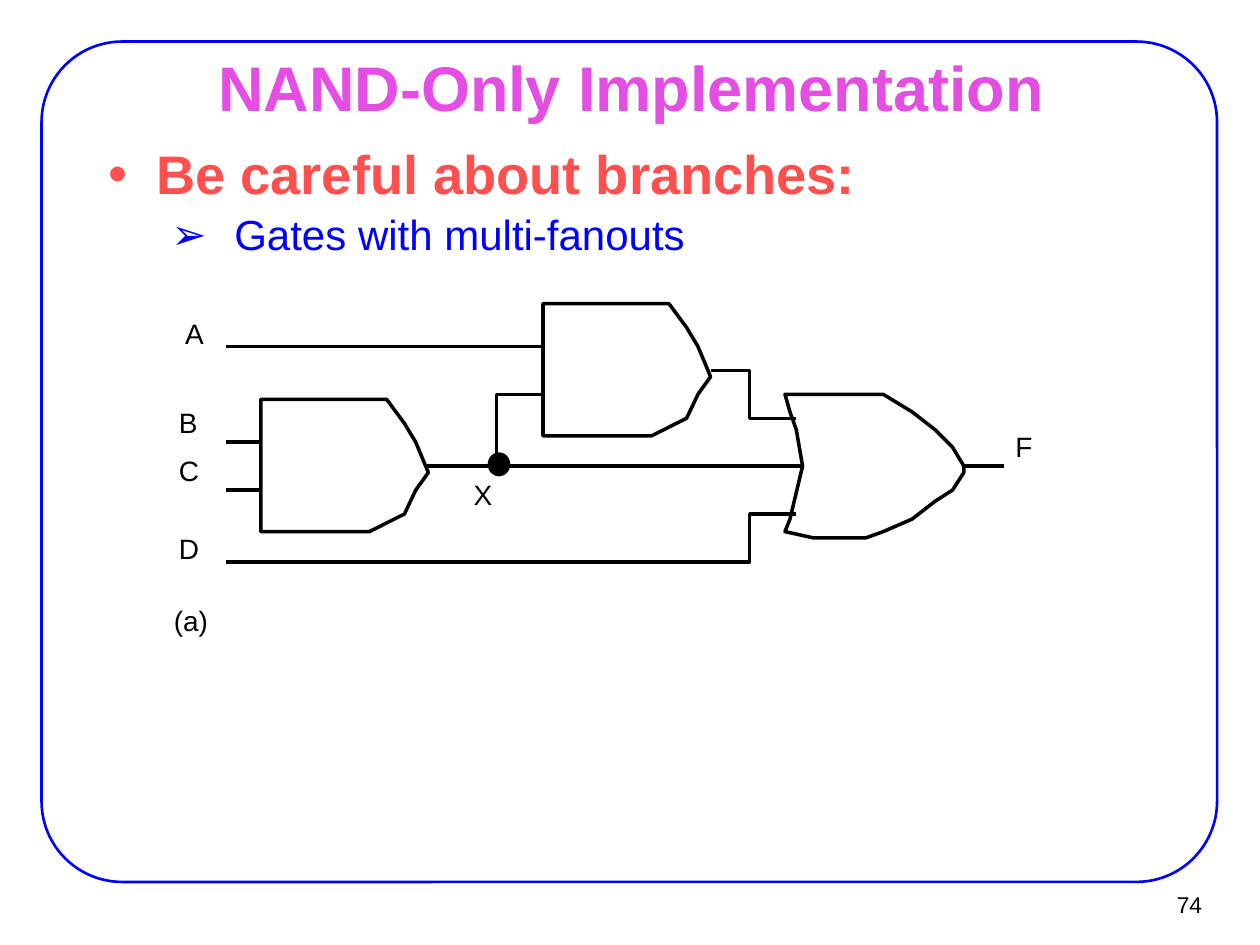
import dataclasses

import pptx
import pptx.dml.color
import pptx.enum.shapes
import pptx.enum.text
import pptx.oxml.ns
import pptx.util
from lxml import etree

Inches = pptx.util.Inches
Align = pptx.enum.text.PP_ALIGN
Anchor = pptx.enum.text.MSO_ANCHOR
Shape = pptx.enum.shapes.MSO_SHAPE


def rgb(code):
    return pptx.dml.color.RGBColor.from_string(code)


@dataclasses.dataclass(frozen=True)
class Theme:
    face: str = "Arial"
    ink: str = "000000"
    paper: str = "FFFFFF"
    frame: str = "0000FF"
    title: str = "E44EE4"
    point: str = "FF5050"
    title_size: int = 36
    point_size: int = 31
    sub_size: int = 24
    label_size: int = 16
    page_size: int = 13
    wire: float = 2
    border: float = 1.5


def add_tag(parent, name, **values):
    return etree.SubElement(parent, pptx.oxml.ns.qn(name), values)


class Sheet:
    """Holds the theme and the slide being drawn."""

    def __init__(self, slide, theme):
        self.slide, self.theme = slide, theme
        self.shapes = slide.shapes

    def style(self, shape, fill=None, line=None, width=None):
        shape.shadow.inherit = False
        if fill:
            shape.fill.solid()
            shape.fill.fore_color.rgb = rgb(fill)
        else:
            shape.fill.background()
        if line:
            shape.line.color.rgb = rgb(line)
            shape.line.width = pptx.util.Pt(width)
        else:
            shape.line.fill.background()

    def setup(self, frame, inset, **extra):
        side, top = inset
        values = {
            "margin_left": Inches(side), "margin_right": Inches(side),
            "margin_top": Inches(top), "margin_bottom": Inches(top),
            "auto_size": pptx.enum.text.MSO_AUTO_SIZE.NONE,
            "word_wrap": True, **extra,
        }
        for name, value in values.items():
            setattr(frame, name, value)

    def put_text(self, para, text, size, color, bold=False):
        para.text = text
        font = para.runs[0].font
        values = {"name": self.theme.face, "size": pptx.util.Pt(size), "bold": bold}
        for name, value in values.items():
            setattr(font, name, value)
        font.color.rgb = rgb(color)

    def box(self, at, inset, **extra):
        frame = self.shapes.add_textbox(*map(Inches, at)).text_frame
        self.setup(frame, inset, **extra)
        return frame

    def title(self, text, at):
        shape = self.shapes.title
        for name, value in zip(("left", "top", "width", "height"), at):
            setattr(shape, name, Inches(value))
        frame = shape.text_frame
        self.setup(frame, (0.11, 0.06), vertical_anchor=Anchor.MIDDLE)
        para = frame.paragraphs[0]
        para.alignment = Align.CENTER
        self.put_text(para, text, self.theme.title_size, self.theme.title, True)

    def bullet(self, para, mark, margin, hang):
        props = para._p.get_or_add_pPr()
        props.set("marL", str(Inches(margin)))
        props.set("indent", str(-Inches(hang)))
        add_tag(props, "a:buFont", typeface=self.theme.face)
        add_tag(props, "a:buChar", char=mark)
        para.line_spacing = 0.9

    def points(self, at, head, sub):
        frame = self.box(at, (0.11, 0.06), margin_top=Inches(0.1))
        para = frame.paragraphs[0]
        self.bullet(para, "•", 0.38, 0.38)
        self.put_text(para, head, self.theme.point_size, self.theme.point, True)
        para = frame.add_paragraph()
        para.level = 1
        self.bullet(para, "➢", 1, 0.5)
        para.space_before = pptx.util.Pt(0.2 * self.theme.sub_size)
        self.put_text(para, sub, self.theme.sub_size, self.theme.frame)

    def label(self, text, left, top, width=0.35):
        frame = self.box((left, top, width, 0.46), (0, 0), word_wrap=False)
        self.put_text(frame.paragraphs[0], text, self.theme.label_size,
                      self.theme.ink)

    def page_mark(self, text, at):
        frame = self.box(at, (0.09, 0.04), word_wrap=False,
                         vertical_anchor=Anchor.MIDDLE)
        para = frame.paragraphs[0]
        para.alignment = Align.RIGHT
        self.put_text(para, text, self.theme.page_size, self.theme.ink)

    def frame(self, at, round_by):
        shape = self.shapes.add_shape(Shape.ROUNDED_RECTANGLE, *map(Inches, at))
        shape.adjustments[0] = round_by
        self.style(shape, line=self.theme.frame, width=self.theme.border)

    def dot(self, at):
        shape = self.shapes.add_shape(Shape.OVAL, *map(Inches, at))
        self.style(shape, fill=self.theme.ink)

    def wire(self, start, end):
        ends = map(Inches, (*start, *end))
        line = self.shapes.add_connector(
            pptx.enum.shapes.MSO_CONNECTOR.STRAIGHT, *ends)
        line.line.color.rgb = rgb(self.theme.ink)
        line.line.width = pptx.util.Pt(self.theme.wire)
        add_tag(line._element.spPr, "a:effectLst")

    def trace(self, spots, left=0, top=0, closed=False):
        """Draw a gate when closed, else a bent wire, offset by left and top."""
        spots = [(Inches(left + x), Inches(top + y)) for x, y in spots]
        pen = self.shapes.build_freeform(*spots[0])
        pen.add_line_segments(spots[1:], close=closed)
        self.style(pen.convert_to_shape(), self.theme.paper if closed else None,
                   self.theme.ink, self.theme.wire)


AND_GATE = [(0, 0), (1, 0), (1.14, 0.19), (1.23, 0.34), (1.33, 0.58),
            (1.23, 0.72), (1.14, 0.91), (0.86, 1.05), (0, 1.05)]
OR_GATE = [(0.14, 0.57), (0.04, 0.99), (0, 1.09), (0.23, 1.14), (0.64, 1.14),
           (0.78, 1.09), (1.01, 0.99), (1.19, 0.85), (1.33, 0.76),
           (1.42, 0.62), (1.42, 0.57), (1.33, 0.42), (1.19, 0.28),
           (1.01, 0.14), (0.78, 0), (0, 0), (0.04, 0.14), (0.09, 0.28)]
WIRES = [((1.79, 2.75), (4.31, 2.75)), ((1.79, 3.51), (2.07, 3.51)),
         ((1.79, 3.89), (2.07, 3.89)), ((3.94, 3.7), (6.37, 3.7)),
         ((7.65, 3.7), (7.97, 3.7))]
BENDS = [[(3.39, 3.7), (3.94, 3.7), (3.94, 3.13), (4.31, 3.13)],
         [(1.79, 4.46), (5.95, 4.46), (5.95, 4.08), (6.32, 4.08)],
         [(5.64, 2.94), (5.95, 2.94), (5.95, 3.32), (6.32, 3.32)]]
LABELS = [("A", 1.47, 2.51), ("B", 1.42, 3.22), ("C", 1.42, 3.6, 0.37),
          ("D", 1.42, 4.22, 0.37), ("F", 8.06, 3.41, 0.33),
          ("X", 3.76, 3.79), ("(a)", 1.38, 4.79, 0.55)]


def main():
    deck = pptx.Presentation()
    deck.slide_width, deck.slide_height = Inches(10), Inches(7.5)
    sheet = Sheet(deck.slides.add_slide(deck.slide_layouts[5]), Theme())
    sheet.frame((0.33, 0.33, 9.33, 6.67), 0.096)
    sheet.page_mark("74", (9.02, 6.99, 0.61, 0.37))
    sheet.title("NAND-Only Implementation", (0.76, 0.44, 8.5, 0.49))
    sheet.points((0.75, 1.07, 6.38, 1.18), "Be careful about branches:",
                 "Gates with multi-fanouts")
    for left, top in ((2.07, 3.17), (4.31, 2.41)):
        sheet.trace(AND_GATE, left, top, closed=True)
    sheet.trace(OR_GATE, 6.23, 3.13, closed=True)
    for start, end in WIRES:
        sheet.wire(start, end)
    for bend in BENDS:
        sheet.trace(bend)
    sheet.dot((3.87, 3.59, 0.18, 0.19))
    for label in LABELS:
        sheet.label(*label)
    deck.save("out.pptx")


if __name__ == "__main__":
    main()
